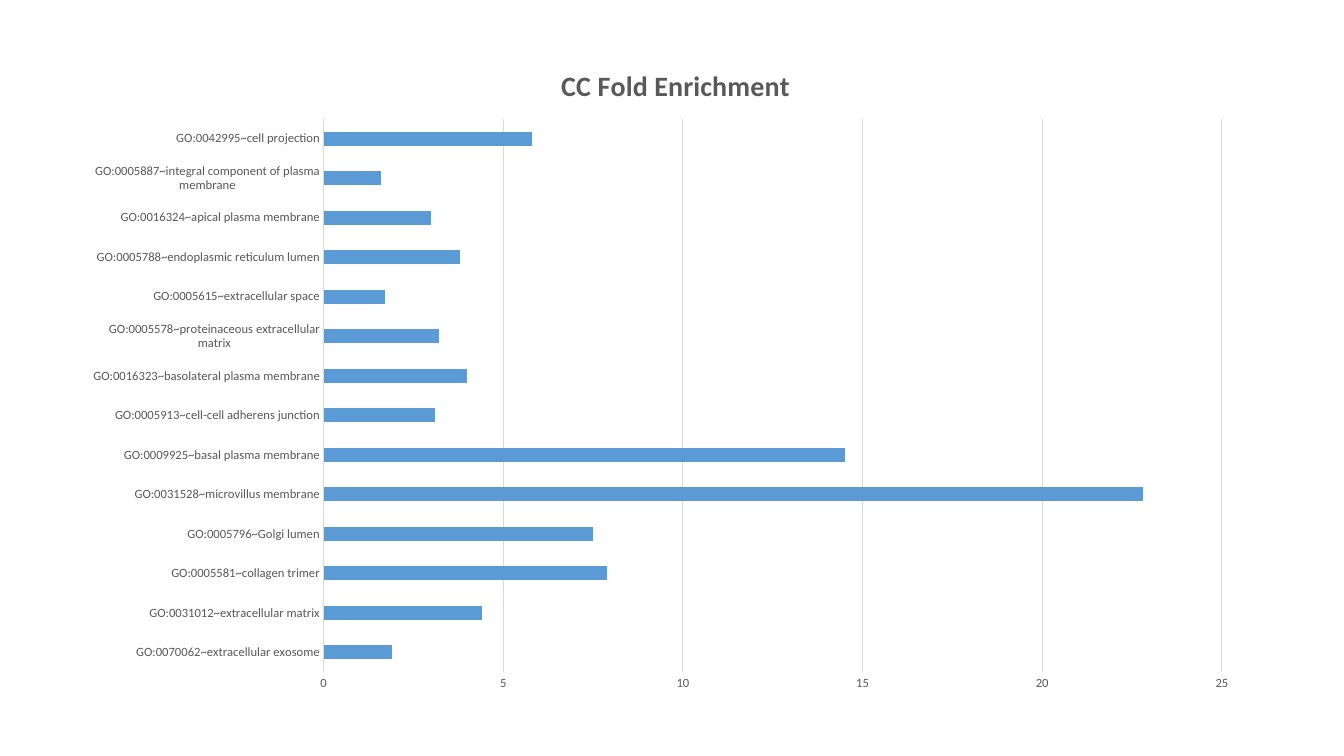
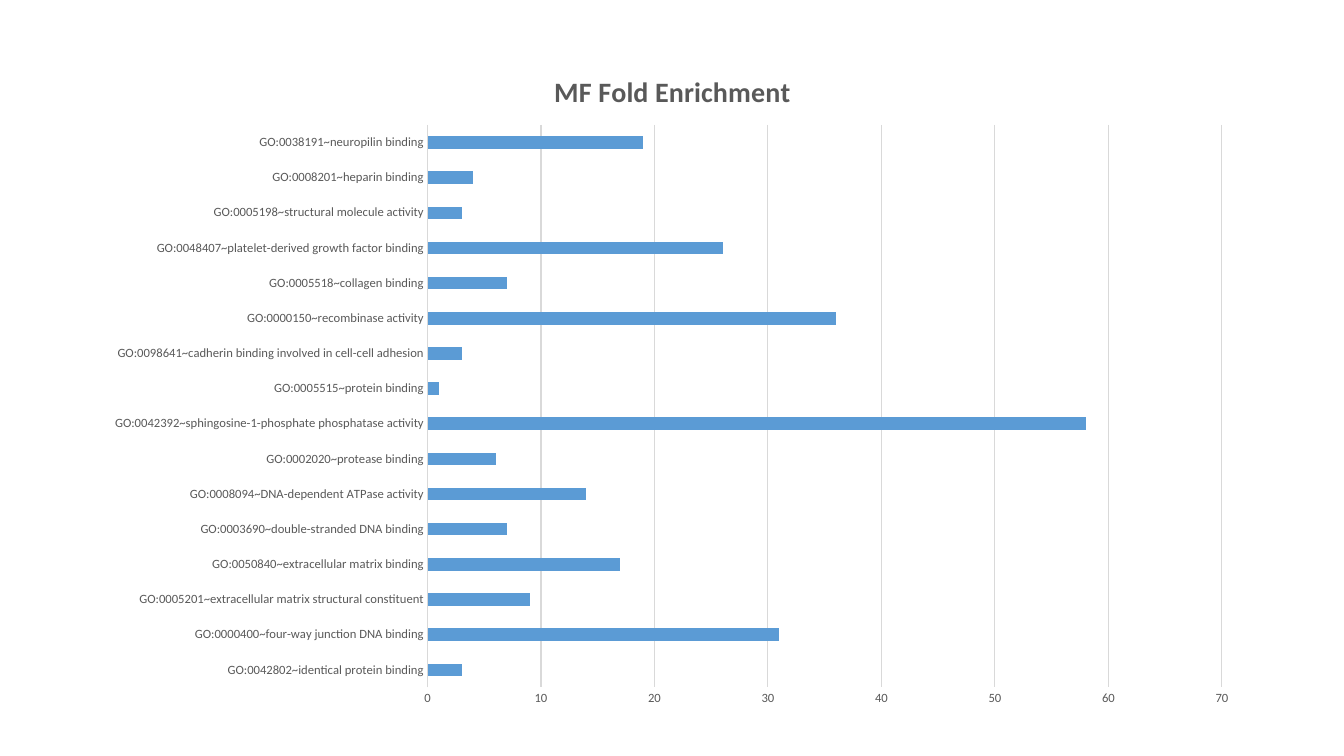
from dataclasses import dataclass

from lxml.etree import SubElement
from pptx import Presentation
from pptx.chart.data import CategoryChartData
from pptx.dml.color import RGBColor
from pptx.enum.chart import XL_CHART_TYPE, XL_TICK_MARK
from pptx.oxml.ns import qn
from pptx.util import Inches, Pt


@dataclass(frozen=True)
class Theme:
    font: str = "Calibri"
    text: RGBColor = RGBColor(0x59, 0x59, 0x59)
    rule: RGBColor = RGBColor(0xD9, 0xD9, 0xD9)
    bar: RGBColor = RGBColor(0x5B, 0x9B, 0xD5)
    title_size: Pt = Pt(20)
    label_size: Pt = Pt(9)
    rule_width: Pt = Pt(0.75)
    bar_gap: int = 182


THEME = Theme()
CHART_LEFT, CHART_WIDTH = 0.92, 11.5
PLOT_RIGHT = 12.12

CELLULAR_COMPONENTS = [
    ("GO:0070062~extracellular exosome", 1.9),
    ("GO:0031012~extracellular matrix", 4.4),
    ("GO:0005581~collagen trimer", 7.9),
    ("GO:0005796~Golgi lumen", 7.5),
    ("GO:0031528~microvillus membrane", 22.8),
    ("GO:0009925~basal plasma membrane", 14.5),
    ("GO:0005913~cell-cell adherens junction", 3.1),
    ("GO:0016323~basolateral plasma membrane", 4),
    ("GO:0005578~proteinaceous extracellular matrix", 3.2),
    ("GO:0005615~extracellular space", 1.7),
    ("GO:0005788~endoplasmic reticulum lumen", 3.8),
    ("GO:0016324~apical plasma membrane", 3),
    ("GO:0005887~integral component of plasma membrane", 1.6),
    ("GO:0042995~cell projection", 5.8),
]

MOLECULAR_FUNCTIONS = [
    ("GO:0042802~identical protein binding", 3),
    ("GO:0000400~four-way junction DNA binding", 31),
    ("GO:0005201~extracellular matrix structural constituent", 9),
    ("GO:0050840~extracellular matrix binding", 17),
    ("GO:0003690~double-stranded DNA binding", 7),
    ("GO:0008094~DNA-dependent ATPase activity", 14),
    ("GO:0002020~protease binding", 6),
    ("GO:0042392~sphingosine-1-phosphate phosphatase activity", 58),
    ("GO:0005515~protein binding", 1),
    ("GO:0098641~cadherin binding involved in cell-cell adhesion", 3),
    ("GO:0000150~recombinase activity", 36),
    ("GO:0005518~collagen binding", 7),
    ("GO:0048407~platelet-derived growth factor binding", 26),
    ("GO:0005198~structural molecule activity", 3),
    ("GO:0008201~heparin binding", 4),
    ("GO:0038191~neuropilin binding", 19),
]


def style_font(font, size, bold=False):
    font.name = THEME.font
    font.size = size
    font.bold = bold
    font.color.rgb = THEME.text


def style_line(line):
    line.color.rgb = THEME.rule
    line.width = THEME.rule_width


def style_axis(axis):
    axis.major_tick_mark = axis.minor_tick_mark = XL_TICK_MARK.NONE
    style_font(axis.tick_labels.font, THEME.label_size)


def place_plot(chart, x, y, w, h):
    """Fix the inner plot area, given as fractions of the chart frame."""
    plot_area = chart.element.find(".//" + qn("c:plotArea"))
    for old in plot_area.findall(qn("c:layout")):
        plot_area.remove(old)
    layout = SubElement(plot_area, qn("c:layout"))
    plot_area.insert(0, layout)
    manual = SubElement(layout, qn("c:manualLayout"))
    settings = {"layoutTarget": "inner", "xMode": "edge", "yMode": "edge",
                "x": x, "y": y, "w": w, "h": h}
    for tag, value in settings.items():
        SubElement(manual, qn(f"c:{tag}")).set("val", str(value))


def add_title(chart, text):
    chart.has_title = True
    p = chart.chart_title.text_frame.paragraphs[0]
    p.text = text
    style_font(p.font, THEME.title_size, bold=True)


def add_enrichment_slide(prs, title, terms, top, height, plot, maximum, step):
    """plot is the left, top and bottom of the plot area on the slide."""
    slide = prs.slides.add_slide(prs.slide_layouts[6])
    data = CategoryChartData()
    data.categories = [name for name, _ in terms]
    data.add_series("Series 1", [value for _, value in terms])
    chart = slide.shapes.add_chart(
        XL_CHART_TYPE.BAR_CLUSTERED, Inches(CHART_LEFT), Inches(top),
        Inches(CHART_WIDTH), Inches(height), data).chart
    chart.has_legend = False
    style_font(chart.font, THEME.label_size)
    add_title(chart, title)

    bars = chart.plots[0]
    bars.gap_width = THEME.bar_gap
    bars.vary_by_categories = False
    fill = bars.series[0].format.fill
    fill.solid()
    fill.fore_color.rgb = THEME.bar

    style_axis(chart.category_axis)
    style_line(chart.category_axis.format.line)
    values = chart.value_axis
    style_axis(values)
    values.minimum_scale, values.maximum_scale = 0, maximum
    values.major_unit = step
    values.format.line.fill.background()
    values.has_major_gridlines = True
    style_line(values.major_gridlines.format.line)

    plot_left, plot_top, plot_bottom = plot
    place_plot(chart, (plot_left - CHART_LEFT) / CHART_WIDTH,
               (plot_top - top) / height,
               (PLOT_RIGHT - plot_left) / CHART_WIDTH,
               (plot_bottom - plot_top) / height)


def main():
    prs = Presentation()
    prs.slide_width, prs.slide_height = Inches(13.33), Inches(7.5)
    add_enrichment_slide(prs, " CC Fold Enrichment", CELLULAR_COMPONENTS,
                         top=0.42, height=6.57, plot=(3.21, 1.18, 6.67),
                         maximum=25, step=5)
    add_enrichment_slide(prs, "MF Fold Enrichment", MOLECULAR_FUNCTIONS,
                         top=0.48, height=6.67, plot=(4.24, 1.24, 6.82),
                         maximum=70, step=10)
    prs.save("out.pptx")


if __name__ == "__main__":
    main()
